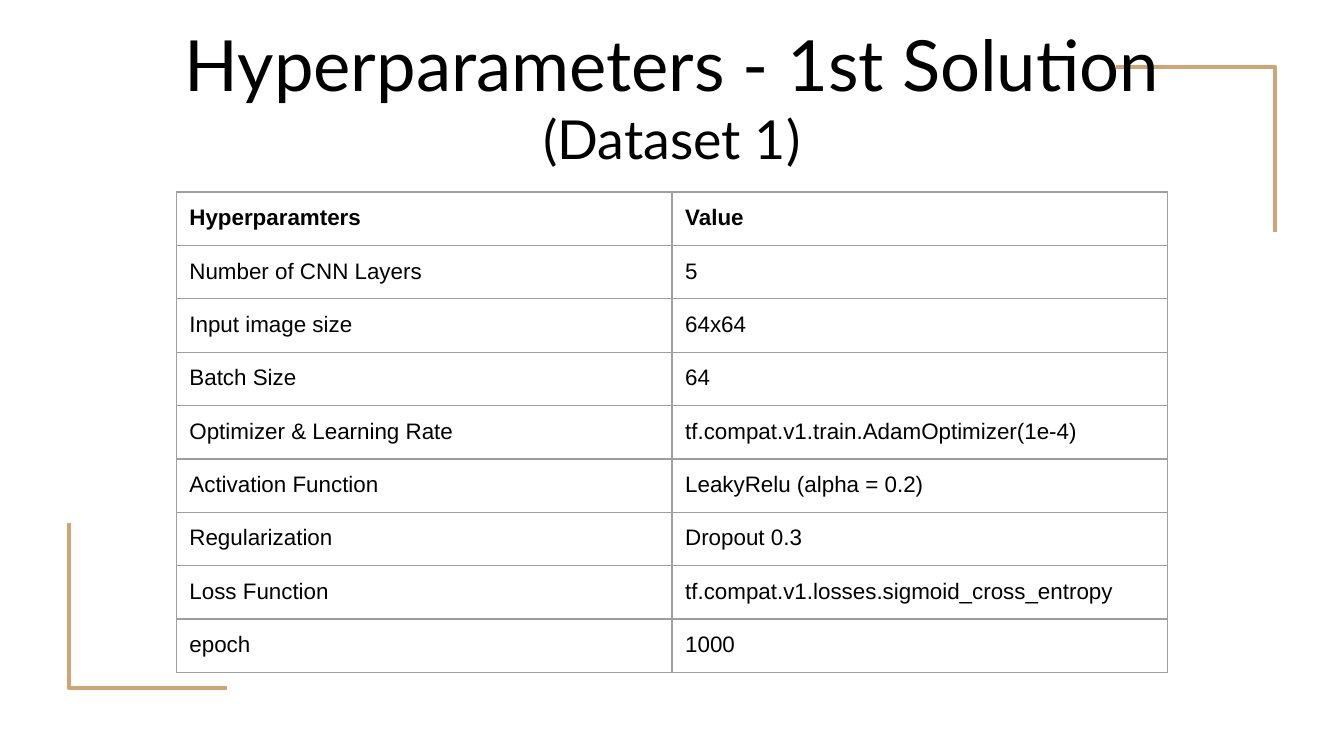
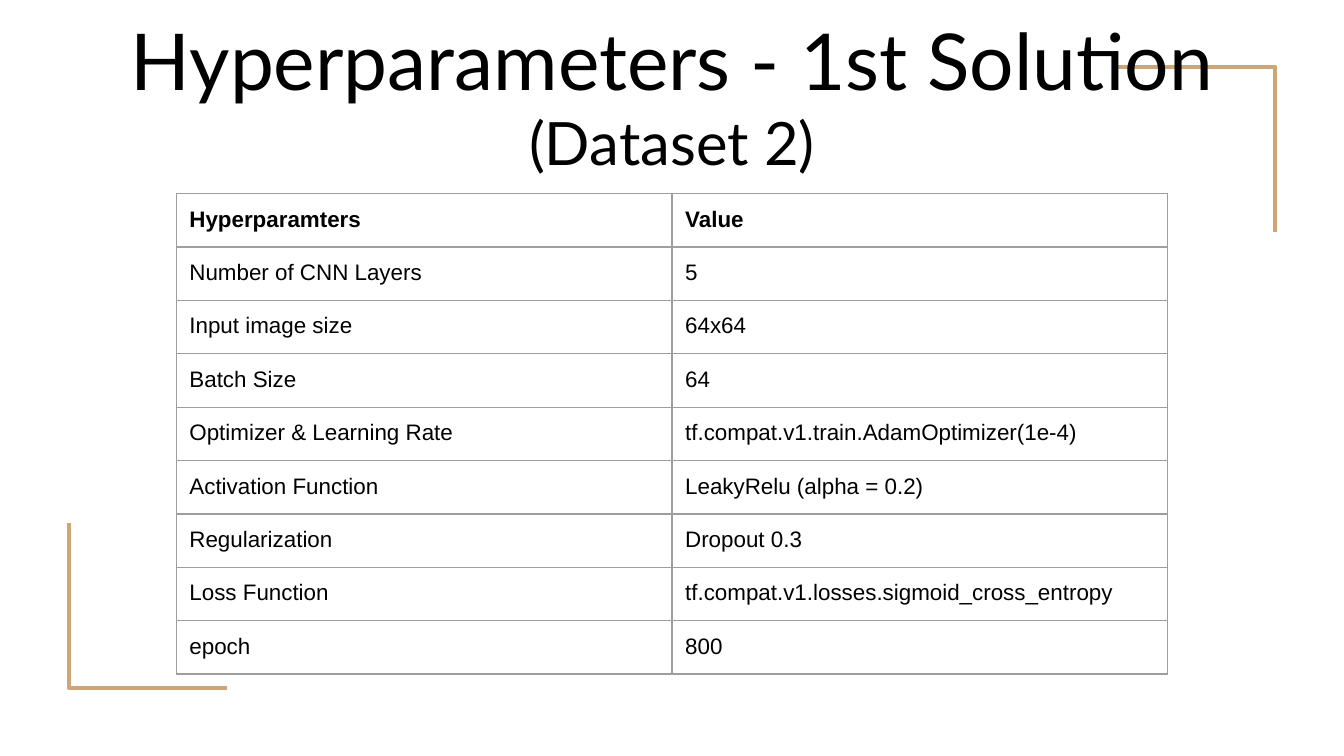
"""Build two slides that tabulate the hyperparameters of the first solution."""
from lxml import etree
from pptx import Presentation
from pptx import util as u
from pptx.dml.color import RGBColor
from pptx.enum import text
from pptx.oxml import ns

BLACK = RGBColor(0x00, 0x00, 0x00)
TAN = RGBColor(0xCC, 0xA6, 0x77)
GREY = RGBColor(0x9E, 0x9E, 0x9E)
TITLE_FONT, TABLE_FONT = "Lato", "Arial"
INSET = u.Cm(0.25)
BRACKET_WIDTH, BRACKET_HEIGHT = 3.0, 3.12

SETTINGS = [
    ("Hyperparamters", "Value"),
    ("Number of CNN Layers", "5"),
    ("Input image size", "64x64"),
    ("Batch Size", "64"),
    ("Optimizer & Learning Rate", "tf.compat.v1.train.AdamOptimizer(1e-4)"),
    ("Activation Function", "LeakyRelu (alpha = 0.2)"),
    ("Regularization", "Dropout 0.3"),
    ("Loss Function", "tf.compat.v1.losses.sigmoid_cross_entropy"),
]


def write(paragraph, words, *, size, font, bold=False, align=text.PP_ALIGN.LEFT):
    """Put formatted words into a paragraph."""
    paragraph.alignment = align
    run = paragraph.add_run()
    run.text = words
    run.font.name = font
    run.font.size = u.Pt(size)
    run.font.bold = bold
    run.font.color.rgb = BLACK


def set_insets(holder):
    """Give a text frame or a cell the same margin on each side."""
    holder.margin_left = holder.margin_right = INSET
    holder.margin_top = holder.margin_bottom = INSET


def add_bracket(slide, corner_x, corner_y, direction):
    """Draw a corner bracket whose arms run inward from its corner."""
    arm_y = corner_y + direction * BRACKET_HEIGHT
    arm_x = corner_x - direction * BRACKET_WIDTH
    outline = slide.shapes.build_freeform(u.Cm(corner_x), u.Cm(arm_y))
    outline.add_line_segments(
        [(u.Cm(corner_x), u.Cm(corner_y)), (u.Cm(arm_x), u.Cm(corner_y))], close=False)
    bracket = outline.convert_to_shape()
    bracket.shadow.inherit = False
    bracket.fill.background()
    bracket.line.color.rgb = TAN
    bracket.line.width = u.Pt(2.25)


def add_title(slide, dataset, top, sizes, room_below):
    """Add the centred two-line title, with extra room below its text."""
    box = slide.shapes.add_textbox(u.Cm(2.15), u.Cm(top), u.Cm(21.1), u.Cm(4.25))
    frame = box.text_frame
    frame.word_wrap = True
    frame.vertical_anchor = text.MSO_ANCHOR.MIDDLE
    set_insets(frame)
    frame.margin_bottom = INSET + u.Cm(room_below)
    lines = ("Hyperparameters - 1st Solution", f"({dataset})")
    paragraphs = (frame.paragraphs[0], frame.add_paragraph())
    for paragraph, line, size in zip(paragraphs, lines, sizes):
        write(paragraph, line, size=size, font=TITLE_FONT, align=text.PP_ALIGN.CENTER)


def add_borders(cell):
    """Rule all four sides of a cell in thin grey."""
    properties = cell._tc.get_or_add_tcPr()
    for position, side in enumerate(("a:lnL", "a:lnR", "a:lnT", "a:lnB")):
        border = etree.Element(ns.qn(side), w=str(u.Pt(0.75)))
        fill = etree.SubElement(border, ns.qn("a:solidFill"))
        etree.SubElement(fill, ns.qn("a:srgbClr"), val=str(GREY))
        properties.insert(position, border)


def add_settings_table(slide, rows, top):
    """Add the two-column table with a bold heading row."""
    row_height, column_width = u.Cm(0.98), u.Cm(9.37)
    table = slide.shapes.add_table(
        len(rows), 2, u.Cm(3.33), u.Cm(top), 2 * column_width, len(rows) * row_height).table
    table.first_row = table.horz_banding = False
    for row_index, row in enumerate(rows):
        for column_index, words in enumerate(row):
            cell = table.cell(row_index, column_index)
            set_insets(cell)
            cell.fill.background()
            add_borders(cell)
            write(cell.text_frame.paragraphs[0], words, size=12, font=TABLE_FONT,
                  bold=row_index == 0)


def add_solution_slide(deck, dataset, epochs, title_top, title_sizes, room_below, table_top):
    """Add one slide with brackets, title and settings table."""
    slide = deck.slides.add_slide(deck.slide_layouts[6])
    add_bracket(slide, 24.1, 1.27, 1)
    add_bracket(slide, 1.3, 13.0, -1)
    add_title(slide, dataset, title_top, title_sizes, room_below)
    add_settings_table(slide, SETTINGS + [("epoch", epochs)], table_top)


def main():
    """Build and save the deck."""
    deck = Presentation()
    deck.slide_width, deck.slide_height = u.Cm(25.4), u.Cm(14.29)
    add_solution_slide(deck, "Dataset 1", "1000", 0.48, (37.8, 28.8), 1.6, 3.63)
    add_solution_slide(deck, "Dataset 2", "800", -0.33, (42, 32), 0, 3.66)
    deck.save("out.pptx")


if __name__ == "__main__":
    main()
